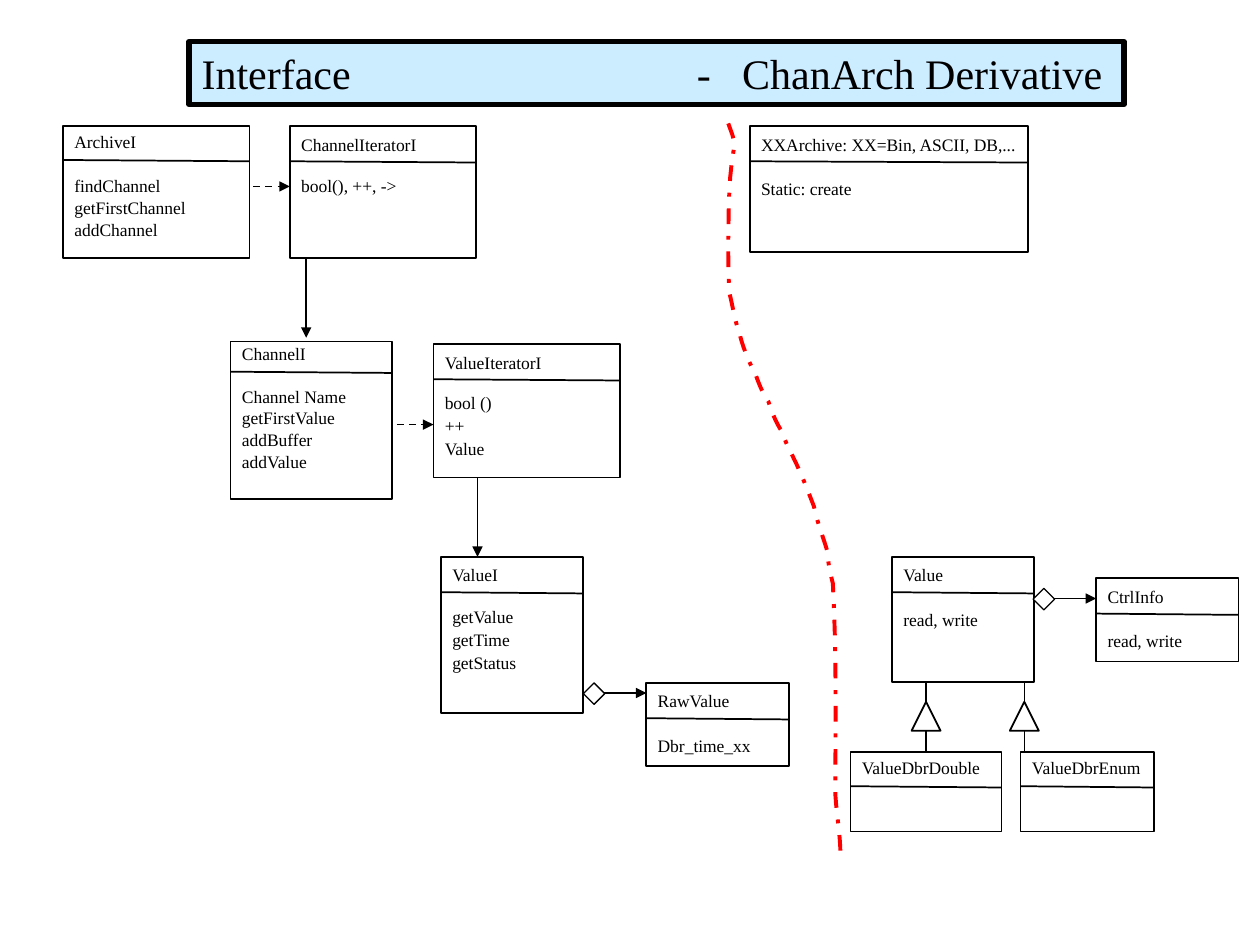
from collections import namedtuple
from lxml.etree import SubElement
from pptx import Presentation
from pptx.dml.color import RGBColor
from pptx.enum.dml import MSO_LINE
from pptx.enum.shapes import MSO_CONNECTOR, MSO_SHAPE
from pptx.enum.text import MSO_ANCHOR, MSO_AUTO_SIZE, PP_ALIGN
from pptx.oxml.ns import qn
from pptx.util import Inches, Pt

THEME = dict(
    font="Times New Roman", title_size=24, body_size=10,
    ink=RGBColor(0, 0, 0), paper=RGBColor(255, 255, 255),
    banner=RGBColor(0xCC, 0xEC, 0xFF), divider=RGBColor(255, 0, 0),
    outline=1, thin=0.75, divider_width=2.25, banner_line=3,
)

# Content: positions in inches; rule, name and member offsets run from the box top
TITLE = "Interface\t-\tChanArch Derivative"
TITLE_TABS = (3.93, 4.29)

ClassBox = namedtuple(
    "ClassBox", "name left top width height members rule name_y members_y gap",
    defaults=((), 0.28, 0.06, 0.41, 0))
CLASSES = [
    ClassBox("ArchiveI", 0.5, 1, 1.48, 1.05,
             ("findChannel", "getFirstChannel", "addChannel"), 0.27, 0.04, 0.39, 0.4),
    ClassBox("ChannelIteratorI", 2.3, 1, 1.48, 1.05, ("bool(), ++, ->",), members_y=0.39),
    ClassBox("ChannelI", 1.83, 2.71, 1.28, 1.25,
             ("Channel Name", "getFirstValue", "addBuffer", "addValue"),
             0.24, 0.01, 0.35, 0.4),
    ClassBox("ValueIteratorI", 3.44, 2.73, 1.48, 1.06,
             ("bool ()", "++", "Value"), members_y=0.38, gap=1.1),
    ClassBox("ValueI", 3.5, 4.42, 1.13, 1.24,
             ("getValue", "getTime", "getStatus"), members_y=0.39, gap=1.1),
    ClassBox("RawValue", 5.13, 5.42, 1.13, 0.66, ("Dbr_time_xx",)),
    ClassBox("XXArchive: XX=Bin, ASCII, DB,...", 5.95, 1, 2.21, 1, ("Static: create",)),
    ClassBox("Value", 7.08, 4.42, 1.13, 0.99, ("read, write",)),
    ClassBox("CtrlInfo", 8.7, 4.59, 1.13, 0.66, ("read, write",)),
    ClassBox("ValueDbrDouble", 6.75, 5.97, 1.2, 0.63, rule=0.27, name_y=0.04),
    ClassBox("ValueDbrEnum", 8.1, 5.97, 1.06, 0.63, rule=0.27, name_y=0.04),
]

DEPENDENCIES = [(2.01, 1.48, 2.3), (3.15, 3.37, 3.44)]    # left, y, right
ASSOCIATIONS = [(2.43, 2.05, 2.68), (3.79, 3.79, 4.42)]   # x, top, bottom
AGGREGATIONS = [(4.63, 5.5), (8.2, 4.75)]                 # left, y
INHERITANCE_X = (7.35, 8.13)
PARENT_BOTTOM, CHILD_TOP = 5.41, 5.97

# Divider: a start point, then cubic curves (control, control, end)
DIVIDER_START = (5.78, 0.98)
DIVIDER_CURVES = [
    ((5.89, 1.28), (5.78, 0.97), (5.78, 1.9)),
    ((5.78, 2.04), (5.78, 2.19), (5.79, 2.33)),
    ((5.81, 2.4), (5.84, 2.59), (5.87, 2.64)),
    ((5.88, 2.72), (5.95, 2.89), (6, 2.98)),
    ((6.03, 3.07), (6.07, 3.15), (6.1, 3.19)),
    ((6.12, 3.26), (6.17, 3.38), (6.21, 3.43)),
    ((6.23, 3.51), (6.27, 3.57), (6.3, 3.64)),
    ((6.36, 3.76), (6.41, 3.89), (6.46, 4.02)),
    ((6.48, 4.13), (6.54, 4.28), (6.57, 4.39)),
    ((6.57, 4.47), (6.59, 4.55), (6.61, 4.63)),
    ((6.64, 5.21), (6.63, 5.62), (6.63, 6.31)),
    ((6.64, 6.47), (6.67, 6.63), (6.67, 6.78)),
]
CURVE_STEPS = 8


def style_font(para, size):
    for span in para.runs:
        span.font.name = THEME["font"]
        span.font.size = Pt(size)
        span.font.color.rgb = THEME["ink"]


def style_outline(shape, width, color=THEME["ink"]):
    shape.line.color.rgb = color
    shape.line.width = Pt(width)


def add_line(slide, start, end, width=THEME["outline"], arrow=False, dash=None):
    line = slide.shapes.add_connector(
        MSO_CONNECTOR.STRAIGHT, *(Inches(value) for value in start + end))
    style_outline(line, width)
    if dash:
        line.line.dash_style = dash
    if arrow:
        SubElement(line.line._get_or_add_ln(), qn("a:tailEnd"), type="triangle")
    SubElement(line._element.spPr, qn("a:effectLst"))


def add_shape(slide, kind, left, top, width, height, fill=None, line=THEME["outline"]):
    shape = slide.shapes.add_shape(
        kind, Inches(left), Inches(top), Inches(width), Inches(height))
    shape.shadow.inherit = False
    if fill is None:
        shape.fill.background()
    else:
        shape.fill.solid()
        shape.fill.fore_color.rgb = fill
    style_outline(shape, line)


def add_text(slide, lines, left, top, width, gap=0):
    box = slide.shapes.add_textbox(
        Inches(left), Inches(top), Inches(width), Inches(0.17 * len(lines)))
    frame = box.text_frame
    frame.word_wrap = True
    frame.margin_left = frame.margin_right = frame.margin_top = frame.margin_bottom = 0
    frame.text = "\n".join(lines)
    for para in frame.paragraphs:
        para.space_after = Pt(gap)
        style_font(para, THEME["body_size"])


def add_class(slide, item):
    add_shape(slide, MSO_SHAPE.RECTANGLE, item.left, item.top, item.width, item.height)
    rule_y = item.top + item.rule
    add_line(slide, (item.left, rule_y), (item.left + item.width, rule_y + 0.01))
    text_left, text_width = item.left + 0.09, item.width - 0.1
    add_text(slide, (item.name,), text_left, item.top + item.name_y, text_width)
    if item.members:
        add_text(slide, item.members, text_left, item.top + item.members_y,
                 text_width, item.gap)


def add_title(slide):
    title = slide.shapes.title
    title.left, title.top = Inches(1.5), Inches(0.33)
    title.width, title.height = Inches(7.42), Inches(0.5)
    title.fill.solid()
    title.fill.fore_color.rgb = THEME["banner"]
    style_outline(title, THEME["banner_line"])
    frame = title.text_frame
    frame.text = TITLE
    frame.auto_size = MSO_AUTO_SIZE.NONE
    frame.vertical_anchor = MSO_ANCHOR.MIDDLE
    para = frame.paragraphs[0]
    para.alignment = PP_ALIGN.LEFT
    style_font(para, THEME["title_size"])
    stops = SubElement(para._p.get_or_add_pPr(), qn("a:tabLst"))
    for stop in TITLE_TABS:
        SubElement(stops, qn("a:tab"), pos=str(Inches(stop)), algn="l")


def add_divider(slide):
    points, start = [], DIVIDER_START
    for first, second, end in DIVIDER_CURVES:
        for step in range(1, CURVE_STEPS + 1):
            t = step / CURVE_STEPS
            weights = ((1 - t) ** 3, 3 * t * (1 - t) ** 2, 3 * t * t * (1 - t), t ** 3)
            corners = (start, first, second, end)
            points.append(tuple(
                Inches(sum(w * corner[axis] for w, corner in zip(weights, corners)))
                for axis in (0, 1)))
        start = end
    builder = slide.shapes.build_freeform(*(Inches(value) for value in DIVIDER_START))
    builder.add_line_segments(points, close=False)
    divider = builder.convert_to_shape()
    divider.shadow.inherit = False
    divider.fill.background()
    style_outline(divider, THEME["divider_width"], THEME["divider"])
    divider.line.dash_style = MSO_LINE.DASH_DOT


def main():
    deck = Presentation()
    deck.slide_width, deck.slide_height = Inches(10), Inches(7.5)
    slide = deck.slides.add_slide(deck.slide_layouts[5])
    add_title(slide)
    for item in CLASSES:
        add_class(slide, item)

    # Relations between classes
    for left, y, right in DEPENDENCIES:
        add_line(slide, (left, y), (right, y), arrow=True, dash=MSO_LINE.DASH)
    for x, top, bottom in ASSOCIATIONS:
        add_line(slide, (x, top), (x, bottom), arrow=True)
    for left, y in AGGREGATIONS:
        add_line(slide, (left, y), (left + 0.5, y), THEME["thin"], arrow=True)
        add_shape(slide, MSO_SHAPE.DIAMOND, left, y - 0.08, 0.17, 0.17,
                  THEME["paper"], THEME["thin"])
    for x in INHERITANCE_X:
        add_line(slide, (x, PARENT_BOTTOM), (x, CHILD_TOP))
        add_shape(slide, MSO_SHAPE.ISOSCELES_TRIANGLE, x - 0.115, 5.57, 0.23, 0.23,
                  THEME["paper"])

    add_divider(slide)
    deck.save("out.pptx")


if __name__ == "__main__":
    main()
